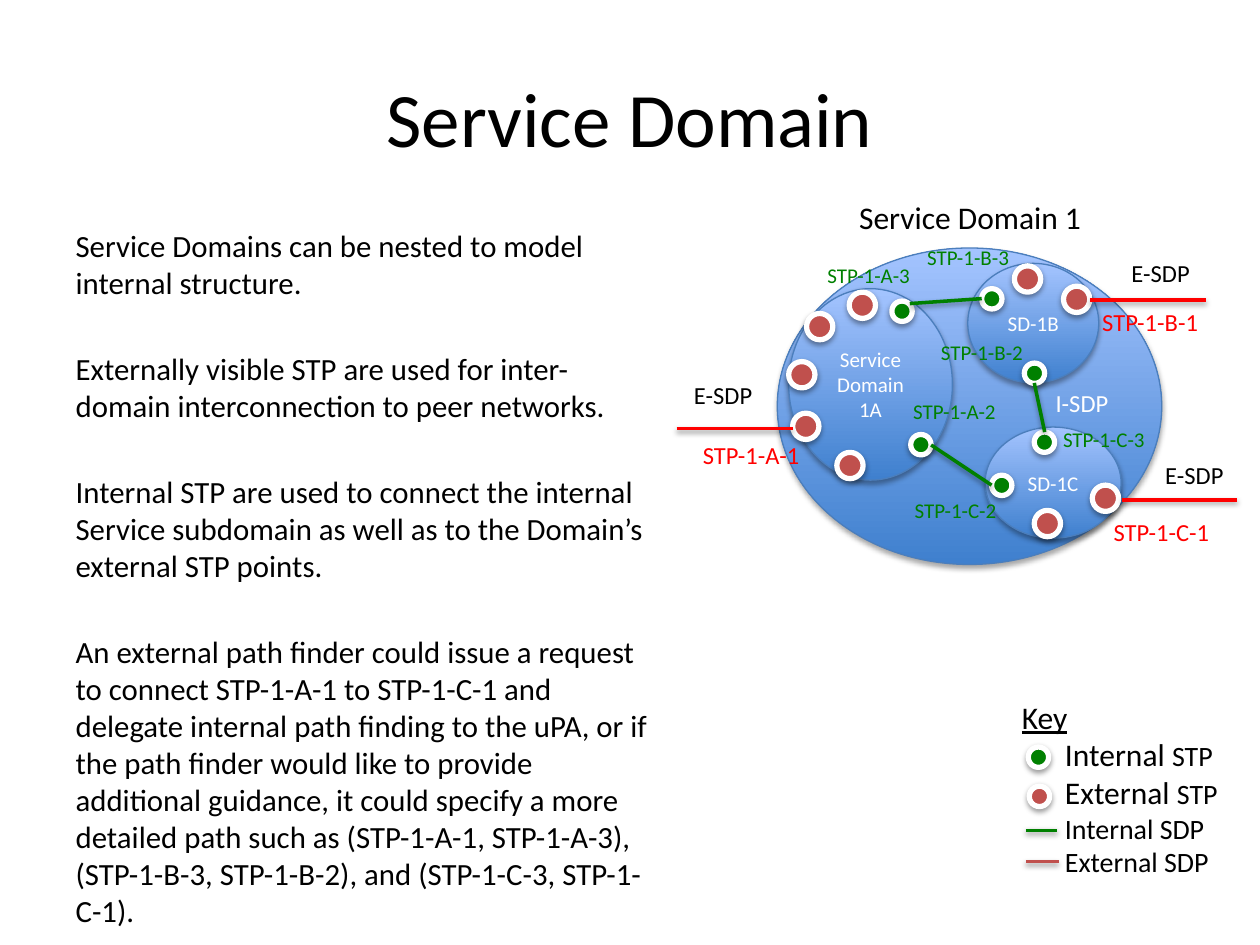
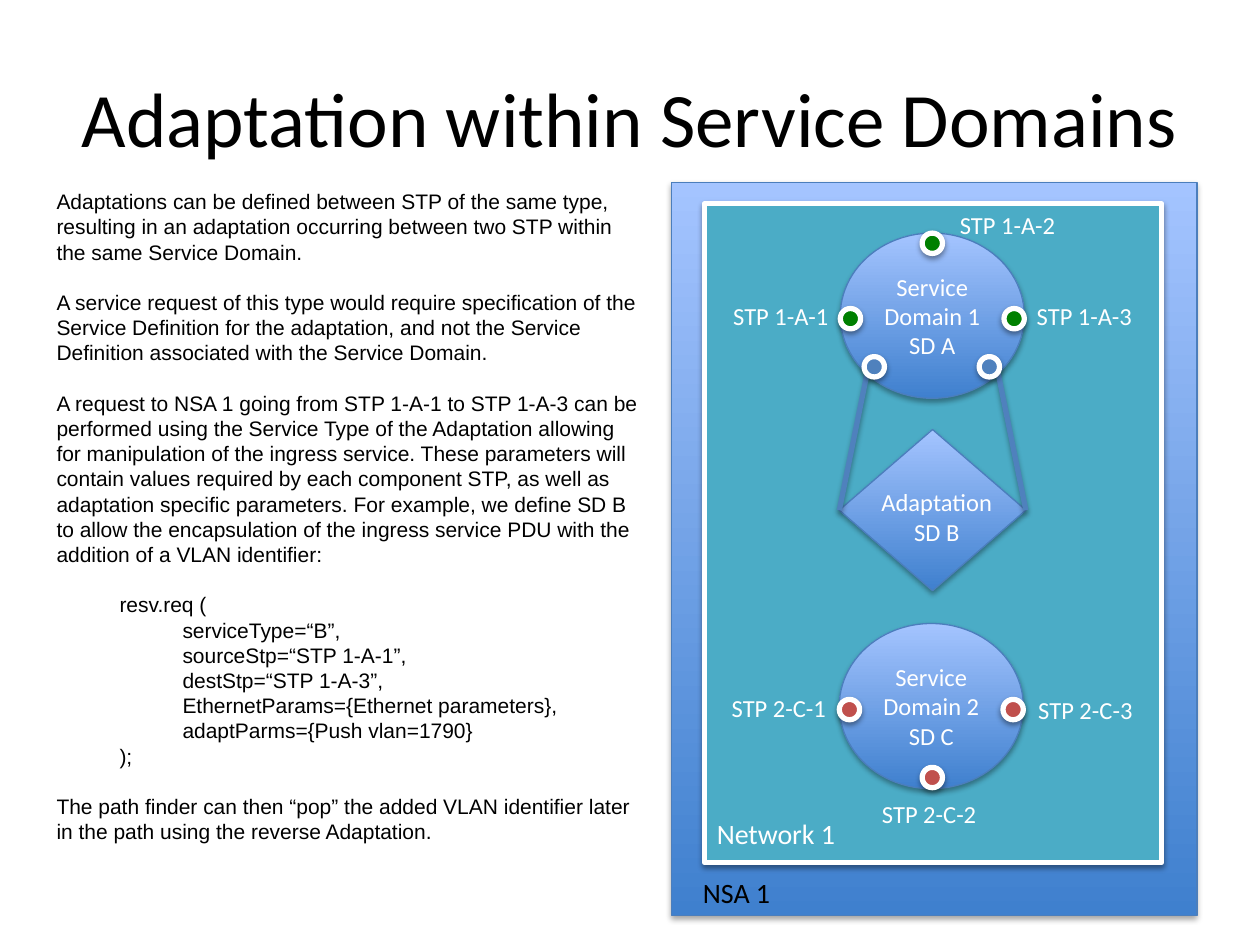
from dataclasses import dataclass
from typing import Optional

from lxml import etree
from pptx import Presentation
from pptx import util as u
from pptx.dml.color import RGBColor
from pptx.enum import shapes as kinds, text as t
from pptx.oxml.ns import qn

# Shared look
COLOURS = {
    "black": "000000", "white": "FFFFFF", "red": "FF0000", "internal": "008000",
    "external": "C0504D", "adapted": "4F81BD", "network": "4BACC6",
    "deep": "3F80CE", "light": "A4C4FF", "edge": "4B7EBC",
}
SOFT_SHADOW = (38, 1.6)
DEEP_SHADOW = (35, 1.8)
EXTERNAL_SIZE, INTERNAL_SIZE = 0.53, 0.41
OVAL = kinds.MSO_SHAPE.OVAL
LABEL_HEIGHT = {12: 0.76, 14: 0.86, 16: 0.94, 18: 1.02}


@dataclass
class Span:
    text: str
    size: float = 14
    colour: str = "black"
    font: str = "Calibri"
    underline: bool = False


@dataclass
class Para:
    spans: list[Span]
    before: float = 0
    indent: float = 0
    spacing: Optional[float] = None


@dataclass
class Domain:
    left: float
    top: float
    width: float
    height: float
    lines: tuple[str, ...] = ()
    size: float = 14
    kind: kinds.MSO_SHAPE = OVAL


@dataclass
class Stp:
    left: float
    top: float
    colour: str = "internal"
    size: float = INTERNAL_SIZE


@dataclass
class Link:
    x1: float
    y1: float
    x2: float
    y2: float
    colour: str
    width: float = 2
    shadow: tuple = SOFT_SHADOW


@dataclass
class Label:
    text: str
    left: float
    top: float
    width: float
    size: float = 14
    colour: str = "black"
    wrap: bool = False


def rgb(name: str) -> RGBColor:
    return RGBColor.from_string(COLOURS[name])


def lengths(*values: float) -> list:
    return [u.Cm(value) for value in values]


def write(frame, paras: list[Para], align=t.PP_ALIGN.LEFT) -> None:
    for number, item in enumerate(paras):
        para = frame.paragraphs[0] if number == 0 else frame.add_paragraph()
        props = para._p.get_or_add_pPr()
        props.set("marL", str(u.Cm(item.indent)))
        props.set("indent", "0")
        para.alignment = align
        para.space_before = u.Pt(item.before)
        if item.spacing:
            para.line_spacing = u.Pt(item.spacing)
        etree.SubElement(props, qn("a:buNone"))
        for part in item.spans:
            span = para.add_run()
            span.text = part.text
            span.font.name = part.font
            span.font.size = u.Pt(part.size)
            span.font.color.rgb = rgb(part.colour)
            if part.underline:
                span.font.underline = True


def add_shadow(shape, shadow: tuple) -> None:
    opacity, distance = shadow
    effects = etree.SubElement(shape._element.spPr, qn("a:effectLst"))
    outer = etree.SubElement(effects, qn("a:outerShdw"), blurRad=str(u.Pt(3.1)),
                             dist=str(u.Pt(distance)), dir="5400000", rotWithShape="0")
    black = etree.SubElement(outer, qn("a:srgbClr"), val=COLOURS["black"])
    etree.SubElement(black, qn("a:alpha"), val=str(opacity * 1000))


def outline(shape, colour: str, width: float) -> None:
    shape.line.color.rgb = rgb(colour)
    shape.line.width = u.Pt(width)


def add_domain(shapes, domain: Domain):
    shape = shapes.add_shape(
        domain.kind, *lengths(domain.left, domain.top, domain.width, domain.height))
    shape.fill.gradient()
    shape.fill.gradient_angle = 90
    for stop, colour in zip(shape.fill.gradient_stops, ("deep", "light")):
        stop.color.rgb = rgb(colour)
    outline(shape, "edge", 0.75)
    add_shadow(shape, DEEP_SHADOW)
    shape.text_frame.vertical_anchor = t.MSO_ANCHOR.MIDDLE
    write(shape.text_frame, [Para([Span(line, domain.size, "white")]) for line in domain.lines],
          t.PP_ALIGN.CENTER)
    return shape


def add_framed(shapes, kind, box: tuple, colour: str) -> None:
    shape = shapes.add_shape(kind, *lengths(*box))
    shape.fill.solid()
    shape.fill.fore_color.rgb = rgb(colour)
    outline(shape, "white", 3)
    add_shadow(shape, SOFT_SHADOW)


def add_stp(shapes, stp: Stp) -> None:
    add_framed(shapes, OVAL, (stp.left, stp.top, stp.size, stp.size), stp.colour)


def add_link(shapes, link: Link):
    line = shapes.add_connector(kinds.MSO_CONNECTOR.STRAIGHT,
                                *lengths(link.x1, link.y1, link.x2, link.y2))
    outline(line, link.colour, link.width)
    add_shadow(line, link.shadow)
    return line


def add_text(shapes, place: tuple, paras: list[Para], wrap: bool = False,
             align=t.PP_ALIGN.LEFT) -> None:
    box = shapes.add_textbox(*lengths(*place))
    box.text_frame.word_wrap = wrap
    write(box.text_frame, paras, align)


def add_label(shapes, label: Label) -> None:
    place = (label.left, label.top, label.width, LABEL_HEIGHT[label.size])
    add_text(shapes, place, [Para([Span(label.text, label.size, label.colour)])], label.wrap)


def fill_placeholder(holder, place: tuple, paras: list[Para], align=t.PP_ALIGN.LEFT) -> None:
    holder.left, holder.top, holder.width, holder.height = lengths(*place)
    holder.text_frame.auto_size = t.MSO_AUTO_SIZE.NONE
    write(holder.text_frame, paras, align)


def add_page(deck, layout: int, title: str):
    page = deck.slides.add_slide(deck.slide_layouts[layout])
    fill_placeholder(page.shapes.title, (1.27, 0.76, 22.86, 3.18),
                     [Para([Span(title, 44)])], t.PP_ALIGN.CENTER)
    return page


def build_nested_domains(deck) -> None:
    page = add_page(deck, 1, "Service Domain")
    shapes = page.shapes
    points = [
        "Service Domains can be nested to model internal structure.",
        "Externally visible STP are used for inter-domain interconnection to peer networks.",
        "Internal STP are used to connect the internal Service subdomain as well as to the "
        "Domain’s external STP points.",
        "An external path finder could issue a request to connect STP-1-A-1 to STP-1-C-1 and "
        "delegate internal path finding to the uPA, or if the path finder would like to provide "
        "additional guidance, it could specify a more detailed path such as (STP-1-A-1, "
        "STP-1-A-3), (STP-1-B-3, STP-1-B-2), and (STP-1-C-3, STP-1-C-1).",
    ]
    fill_placeholder(page.placeholders[1], (1.27, 4.45, 12.07, 12.88),
                     [Para([Span(point, 17.6)], before=28 if number else 0)
                      for number, point in enumerate(points)])

    # Outer domain and its subdomains
    for domain in (
        Domain(15.67, 5, 7.75, 6.38),
        Domain(15.9, 5.82, 3.3, 3.86, ("Service Domain", "1A"), 12),
        Domain(19.86, 8.61, 2.74, 2.24, ("SD-1C",), 12),
        Domain(19.51, 5.31, 2.64, 2.41, ("SD-1B",), 12),
    ):
        add_domain(shapes, domain)

    # Termination points, the last of each kind in the key
    external = [(15.9, 7.29), (16.26, 6.32), (17.12, 5.89), (15.98, 8.33), (20.85, 10.29),
                (16.87, 9.12), (22.02, 9.78), (20.45, 5.36), (21.44, 5.77)]
    internal = [(18.36, 8.76), (19.99, 9.58), (20.85, 8.71), (20.65, 7.32), (17.98, 6.07),
                (19.79, 5.82), (20.73, 15.06)]
    for left, top in external:
        add_stp(shapes, Stp(left, top, "external", EXTERNAL_SIZE))
    for left, top in internal:
        add_stp(shapes, Stp(left, top))
    add_stp(shapes, Stp(20.75, 15.85, "external"))

    # Demarcation lines
    for link in (
        Link(18.77, 8.97, 19.99, 9.78, "internal"),
        Link(20.85, 7.72, 21.06, 8.71, "internal"),
        Link(18.34, 6.12, 19.79, 6.02, "internal"),
        Link(13.64, 8.64, 15.98, 8.64, "red"),
        Link(22.61, 10.08, 24.94, 10.08, "red"),
        Link(21.97, 6.05, 24.31, 6.05, "red"),
        Link(20.68, 16.74, 21.31, 16.74, "internal"),
        Link(20.68, 17.37, 21.34, 17.37, "external"),
    ):
        add_link(shapes, link)

    # Labels
    add_label(shapes, Label("Service Domain 1", 17.07, 3.86, 5.03, 18))
    add_label(shapes, Label("I-SDP", 21.03, 7.7, 1.57, colour="white"))
    for left, top in ((13.74, 7.54), (22.56, 5.08), (23.24, 9.14)):
        add_label(shapes, Label("E-SDP", left, top, 1.7))
    for name, left, top in (("A-1", 13.92, 8.74), ("B-1", 21.97, 6.07), ("C-1", 22.2, 10.29)):
        add_label(shapes, Label(f"STP-1-{name}", left, top, 2.49, colour="red"))
    for name, left, top in (("A-2", 18.16, 7.9), ("C-2", 18.19, 9.91), ("B-2", 18.72, 6.73),
                            ("C-3", 21.18, 8.48), ("A-3", 16.43, 5.16), ("B-3", 18.44, 4.8)):
        add_label(shapes, Label(f"STP-1-{name}", left, top, 2.2, 12, "internal"))

    # Key
    key = [Para([Span("Key", 18, underline=True)])]
    key += [Para([Span(f"{side} ", 18), Span("STP", 16)], indent=0.87)
            for side in ("Internal", "External")]
    key += [Para([Span(f"{side} SDP", 16)], indent=0.87) for side in ("Internal", "External")]
    add_text(shapes, (20.35, 13.94, 4.5, 3.94), key)


def build_adaptation(deck) -> None:
    shapes = add_page(deck, 5, "Adaptation within Service Domains").shapes

    # Agent and network frames
    add_domain(shapes, Domain(13.54, 3.68, 10.59, 14.78, kind=kinds.MSO_SHAPE.RECTANGLE))
    add_framed(shapes, kinds.MSO_SHAPE.RECTANGLE, (14.2, 4.11, 9.22, 13.28), "network")

    # Lower domain, adaptation and upper domain
    add_domain(shapes, Domain(16.92, 12.57, 3.71, 3.33, ("Service Domain 2", "SD C")))
    for left, top in ((20.22, 14.1), (18.59, 15.47), (16.92, 14.1)):
        add_stp(shapes, Stp(left, top, "external"))
    diamond = add_domain(shapes, Domain(16.92, 8.66, 3.76, 3.25, kind=kinds.MSO_SHAPE.DIAMOND))
    add_text(shapes, (17.5, 9.7, 2.77, 1.45),
             [Para([Span(line, 14, "white")]) for line in ("Adaptation", "SD B")],
             align=t.PP_ALIGN.CENTER)
    upper = shapes.add_group_shape().shapes
    add_domain(upper, Domain(16.94, 4.7, 3.71, 3.33, ("Service Domain 1", "SD A")))
    for left, top in ((18.59, 4.7), (20.24, 6.22), (16.94, 6.22)):
        add_stp(upper, Stp(left, top))

    # Links from the diamond's corners to the upper domain
    for corner, start, end, stp_left in ((1, 16.92, 17.48, 17.42), (3, 20.68, 20.12, 19.74)):
        link = add_link(shapes, Link(start, 10.29, end, 7.52, "adapted", 3, DEEP_SHADOW))
        link.begin_connect(diamond, corner)
        add_stp(shapes, Stp(stp_left, 7.19, "adapted"))

    # Labels
    for name, left, top in (("1-A-1", 14.53, 5.94), ("1-A-2", 19.1, 4.11), ("1-A-3", 20.65, 5.94),
                            ("2-C-1", 14.5, 13.84), ("2-C-2", 17.53, 15.98),
                            ("2-C-3", 20.68, 13.89)):
        add_label(shapes, Label(f"STP {name}", left, top, 2.54, colour="white", wrap=True))
    add_label(shapes, Label("Network 1", 14.2, 16.33, 3, 16, "white", True))
    add_label(shapes, Label("NSA 1", 13.92, 17.53, 3, 16, wrap=True))

    # Explanation: text, space before, indent
    gap, call, argument = 14.4, 1.27, 2.54
    lines = [
        ("Adaptations can be defined between STP of the same type, resulting in an adaptation "
         "occurring between two STP within the same Service Domain.", 0, 0),
        ("A service request of this type would require specification of the Service Definition "
         "for the adaptation, and not the Service Definition associated with the Service "
         "Domain.", gap, 0),
        ("A request to NSA 1 going from STP 1-A-1 to STP 1-A-3 can be performed using the "
         "Service Type of the Adaptation allowing for manipulation of the ingress service. "
         "These parameters will contain values required by each component STP, as well as "
         "adaptation specific parameters. For example, we define SD B to allow the "
         "encapsulation of the ingress service PDU with the addition of a VLAN identifier:",
         gap, 0),
        ("resv.req (", gap, call),
        ("serviceType=“B”,", 0, argument),
        ("sourceStp=“STP 1-A-1”,", 0, argument),
        ("destStp=“STP 1-A-3”,", 0, argument),
        ("EthernetParams={Ethernet parameters},", 0, argument),
        ("adaptParms={Push vlan=1790}", 0, argument),
        (");", 0, call),
        ("The path finder can then “pop” the added VLAN identifier later in the path using "
         "the reverse Adaptation.", gap, 0),
    ]
    add_text(shapes, (0.89, 3.68, 12.32, 14.78),
             [Para([Span(line, 12, font="Arial")], before, indent, 14.4)
              for line, before, indent in lines], wrap=True)


def main() -> None:
    deck = Presentation()
    deck.slide_width, deck.slide_height = lengths(25.4, 19.05)
    build_nested_domains(deck)
    build_adaptation(deck)
    deck.save("out.pptx")


if __name__ == "__main__":
    main()
